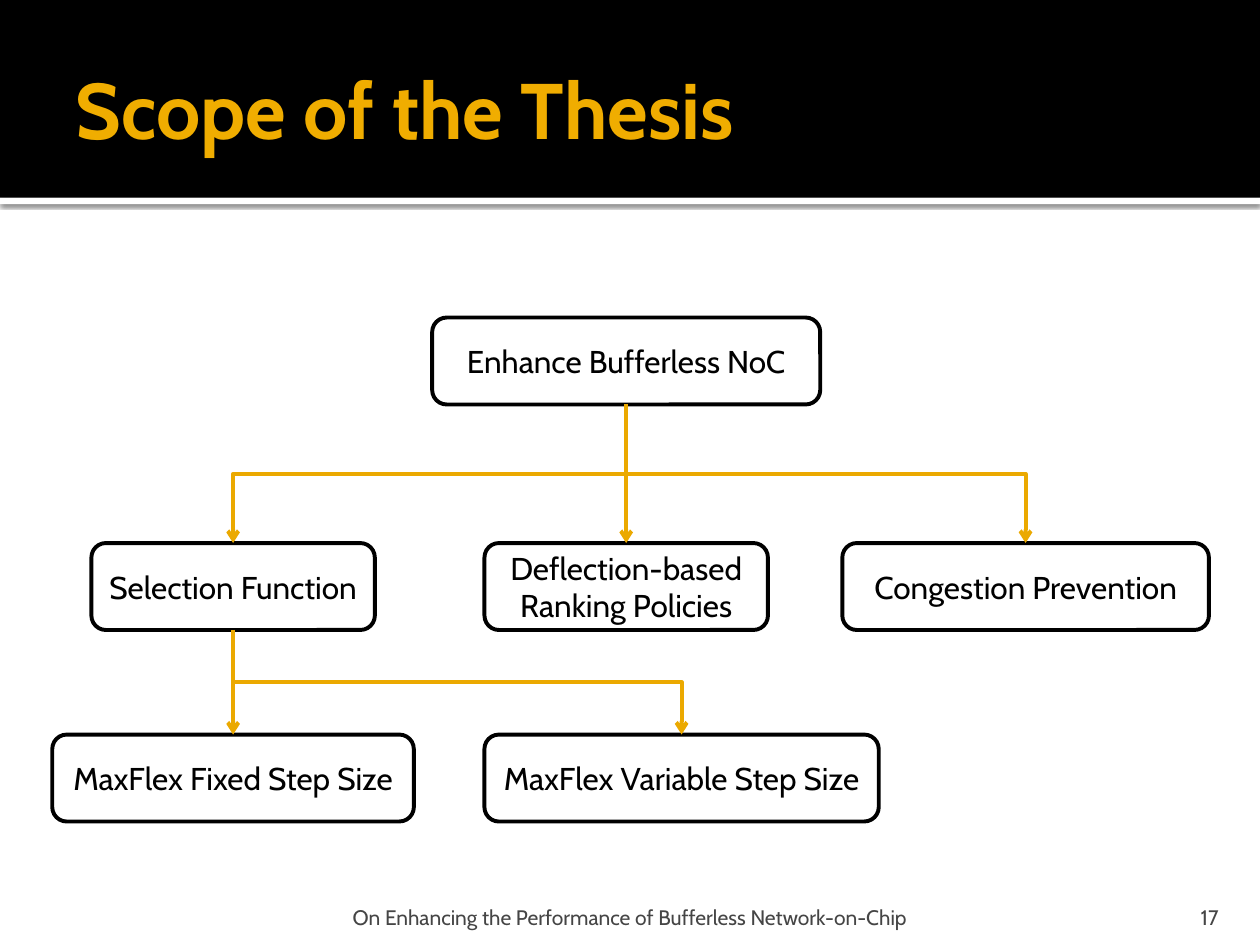
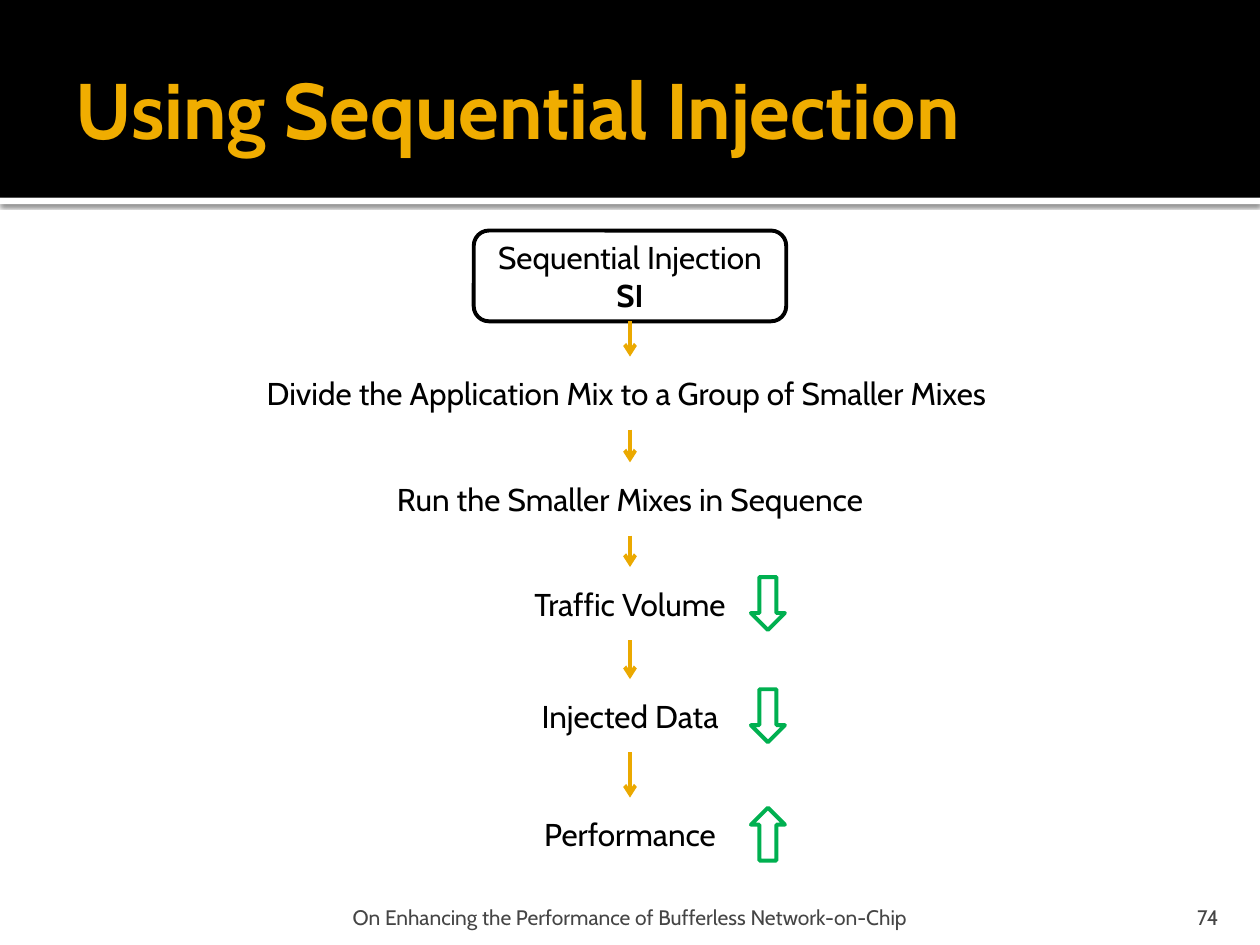
from lxml import etree
from pptx import Presentation
from pptx import util as u
from pptx.dml.color import RGBColor
from pptx.enum import shapes, text
from pptx.oxml.ns import qn

SCALE = 9144  # EMU per px, 100 px to the inch
FONT = "Cabin"
GOLD, AMBER, GREEN = "F0AD00", "EBA900", "00B050"
BLACK, WHITE, GREY = "000000", "FFFFFF", "454545"
FOOTER = "On Enhancing the Performance of Bufferless Network-on-Chip"
SHAPE, ALIGN, ANCHOR = shapes.MSO_SHAPE, text.PP_ALIGN, text.MSO_ANCHOR


def px(*sizes):
    return [u.Emu(round(size * SCALE)) for size in sizes]


def paint(code):
    return RGBColor.from_string(code)


def write(frame, words, size=18, color=BLACK, bold=(False,), align=ALIGN.CENTER,
          anchor=ANCHOR.MIDDLE, inset=(10, 5, 10, 5)):
    """Fill a text frame; bold holds one flag for each line."""
    frame.word_wrap = True
    frame.auto_size = text.MSO_AUTO_SIZE.NONE
    frame.vertical_anchor = anchor
    (frame.margin_left, frame.margin_top,
     frame.margin_right, frame.margin_bottom) = px(*inset)
    for index, line in enumerate(words.split("\n")):
        para = frame.add_paragraph() if index else frame.paragraphs[0]
        para.alignment = align
        run = para.add_run()
        run.text = line
        font = run.font
        font.name, font.size, font.bold = FONT, u.Pt(size), bold[index]
        font.color.rgb = paint(color)


class Deck:
    def __init__(self):
        self.prs = Presentation()
        self.prs.slide_width, self.prs.slide_height = px(1000, 750)

    def start(self, title, number):
        """Add a slide with its bands, title and footer."""
        self.slide = self.prs.slides.add_slide(self.prs.slide_layouts[5])
        strip = self.shape(SHAPE.RECTANGLE, 0, 157, 1000, 5, WHITE)
        self.shade(strip)
        self.shape(SHAPE.RECTANGLE, 0, 0, 1000, 157, BLACK)
        head = self.slide.shapes.title
        self.slide.shapes.element.append(head.element)  # in front of the bands
        head.left, head.top, head.width, head.height = px(50, 17, 900, 137)
        write(head.text_frame, title, size=45, color=GOLD, bold=(True,),
              align=ALIGN.LEFT, inset=(10, 5, 5, 5))
        self.note(FOOTER, 199, 602, 5, ALIGN.CENTER)
        self.note(str(number), 897, 80, 10, ALIGN.RIGHT)

    def note(self, words, left, width, side, align):
        """Add a text to the footer row."""
        box = self.slide.shapes.add_textbox(*px(left, 708, width, 30))
        write(box.text_frame, words, size=12, color=GREY, align=align,
              anchor=ANCHOR.BOTTOM, inset=(side, 5, side, 0))

    def shape(self, kind, left, top, width, height, fill=WHITE, line=None):
        item = self.slide.shapes.add_shape(kind, *px(left, top, width, height))
        item.shadow.inherit = False
        item.fill.solid()
        item.fill.fore_color.rgb = paint(fill)
        if line:
            item.line.color.rgb = paint(line)
            item.line.width = u.Pt(2.25)
        else:
            item.line.fill.background()
        return item

    def shade(self, item):
        """Give a shape a soft shadow below it."""
        effects = item.element.spPr.find(qn("a:effectLst"))
        shadow = etree.SubElement(effects, qn("a:outerShdw"), blurRad="31750",
                                  dist="10160", dir="5400000", rotWithShape="0")
        color = etree.SubElement(shadow, qn("a:srgbClr"), val=BLACK)
        etree.SubElement(color, qn("a:alpha"), val="60000")

    def box(self, words, mid, top, width, height, line=BLACK, **style):
        """Add a rounded box centred on the x position mid."""
        item = self.shape(SHAPE.ROUNDED_RECTANGLE, mid - width / 2, top,
                          width, height, line=line)
        write(item.text_frame, words, **style)
        return item

    def link(self, upper, lower):
        """Join two boxes on one axis with a straight arrow."""
        wire = self.slide.shapes.add_connector(shapes.MSO_CONNECTOR.STRAIGHT, 0, 0, 0, 0)
        wire.begin_connect(upper, 2)
        wire.end_connect(lower, 0)
        self.point(wire)

    def bend(self, upper, lower):
        """Join two boxes with an elbow arrow that leaves downwards."""
        x1, y1 = upper.left + upper.width // 2, upper.top + upper.height
        x2, y2 = lower.left + lower.width // 2, lower.top
        mid_x, mid_y = (x1 + x2) // 2, (y1 + y2) // 2
        half_x, half_y = abs(x2 - x1) // 2, (y2 - y1) // 2
        side = 1 if x2 > x1 else -1
        wire = self.slide.shapes.add_connector(
            shapes.MSO_CONNECTOR.ELBOW,
            mid_x + side * half_y, mid_y - half_x,
            mid_x - side * half_y, mid_y + half_x)
        turn = 270 if side > 0 else 90
        wire.element.spPr.find(qn("a:xfrm")).set("rot", str(turn * 60000))
        self.point(wire)

    def point(self, wire):
        """Style a connector and give it an arrowhead."""
        wire.line.color.rgb = paint(AMBER)
        wire.line.width = u.Pt(2.25)
        props = wire.element.spPr
        etree.SubElement(props.find(qn("a:ln")), qn("a:tailEnd"), type="arrow")
        etree.SubElement(props, qn("a:effectLst"))


def scope(deck):
    deck.start("Scope of the Thesis", 17)
    root = deck.box("Enhance Bufferless NoC", 497, 252, 308, 69)
    prevent = deck.box("Congestion Prevention", 814, 431, 291, 69)
    rank = deck.box("Deflection-based Ranking Policies", 497, 431, 225, 69)
    select = deck.box("Selection Function", 185, 431, 225, 69)
    fixed = deck.box("MaxFlex Fixed Step Size", 185, 583, 287, 69)
    varied = deck.box("MaxFlex Variable Step Size", 541, 583, 313, 69)
    for upper, lower in ((root, rank), (select, fixed)):
        deck.link(upper, lower)
    for upper, lower in ((root, select), (root, prevent), (select, varied)):
        deck.bend(upper, lower)


def inject(deck):
    deck.start("Using Sequential Injection", 74)
    last = deck.box("Sequential Injection\nSI", 500, 183, 248, 72, bold=(False, True))
    steps = (
        ("Divide the Application Mix to a Group of Smaller Mixes ", 283, 608, None),
        ("Run the Smaller Mixes in Sequence", 367, 398, None),
        ("Traffic Volume", 450, 433, SHAPE.DOWN_ARROW),
        ("Injected Data", 539, 305, SHAPE.DOWN_ARROW),
        ("Performance", 633, 305, SHAPE.UP_ARROW),
    )
    for words, top, width, trend in steps:
        step = deck.box(words, 500, top, width, 58, line=None)
        deck.link(last, step)
        if trend:
            deck.shape(trend, 596, top + 8, 27, 42, line=GREEN)
        last = step


def main():
    deck = Deck()
    scope(deck)
    inject(deck)
    deck.prs.save("out.pptx")


if __name__ == "__main__":
    main()
